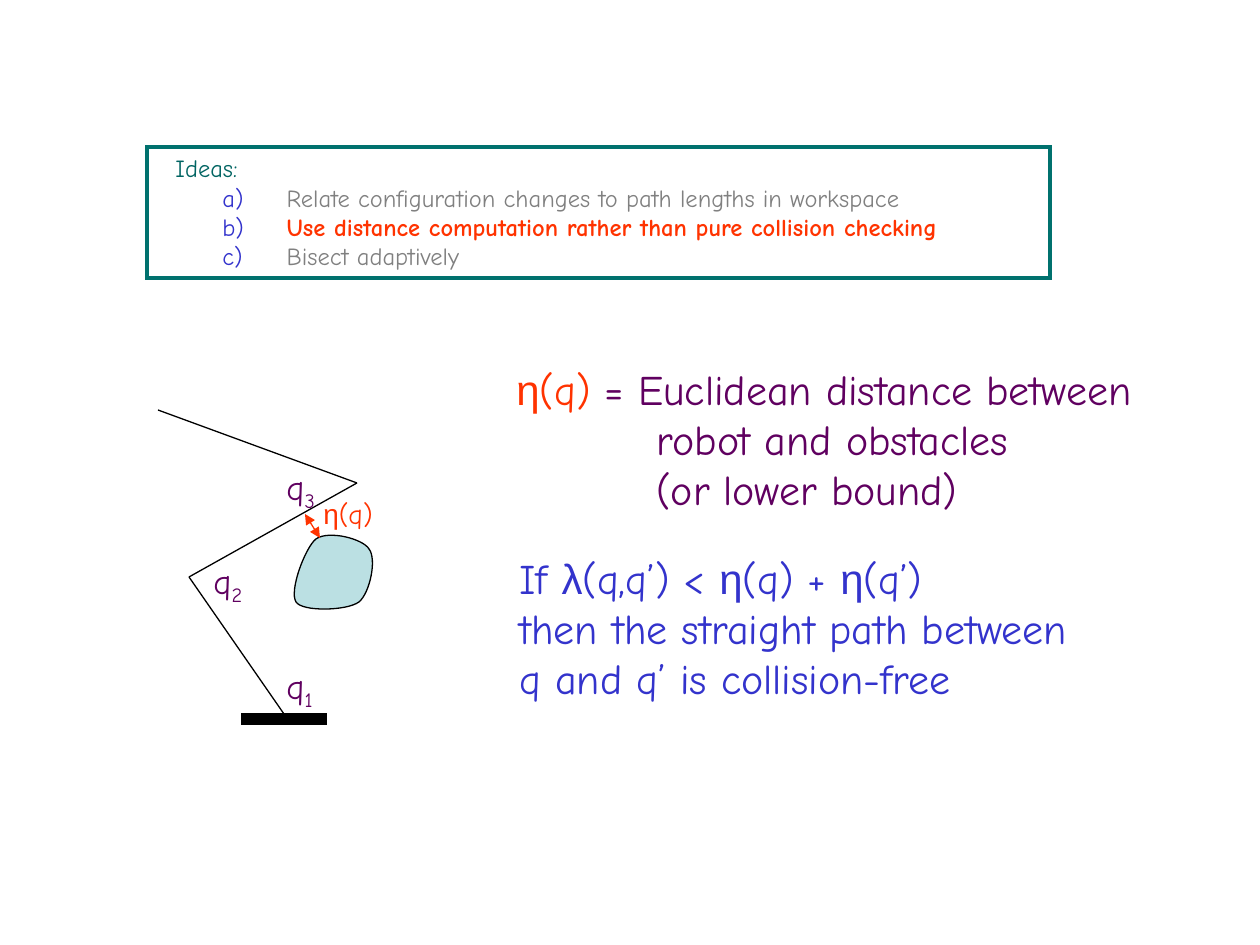
from dataclasses import dataclass
from itertools import pairwise

from lxml.etree import SubElement
from pptx import Presentation
from pptx.dml.color import RGBColor
from pptx.enum.shapes import MSO_CONNECTOR, MSO_SHAPE
from pptx.enum.text import MSO_ANCHOR, MSO_AUTO_SIZE, PP_ALIGN
from pptx.oxml.ns import qn
from pptx.util import Emu, Pt

PX_PER_INCH = 126
Point = tuple[int, int]
Box = tuple[int, int, int, int]


@dataclass(frozen=True)
class Theme:
    latin: str = "Comic Neue"
    greek: str = "Arial"
    formula: int = 24
    joint: int = 20
    distance: int = 16
    ideas: int = 14
    thin: float = 0.75
    frame_width: float = 2.25
    black: str = "000000"
    blue: str = "3333CC"
    red: str = "FF3300"
    purple: str = "600060"
    gray: str = "808080"
    heading: str = "006462"
    frame: str = "00716E"
    obstacle: str = "BBE0E3"


THEME = Theme()


@dataclass(frozen=True)
class Span:
    text: str
    color: str
    font: str = THEME.latin
    bold: bool = False
    subscript: bool = False


@dataclass(frozen=True)
class Line:
    spans: list[Span]
    margin: int = 0
    hang: int = 0
    lettered: bool = False


@dataclass(frozen=True)
class Label:
    box: Box
    size: int
    lines: list[Line]


def px(length: float) -> Emu:
    return Emu(round(length * 914400 / PX_PER_INCH))


def rgb(color: str) -> RGBColor:
    return RGBColor.from_string(color)


def math_spans(text: str, color: str) -> list[Span]:
    """Split text so that Greek letters get their own font."""
    spaced = text.replace("η", "|η|").replace("λ", "|λ|")
    return [Span(part, color, THEME.greek if part in "ηλ" else THEME.latin)
            for part in spaced.split("|") if part]


def write_lines(frame, lines: list[Line], size: int) -> None:
    for index, line in enumerate(lines):
        paragraph = frame.paragraphs[0] if index == 0 else frame.add_paragraph()
        paragraph.alignment = PP_ALIGN.LEFT
        properties = paragraph._p.get_or_add_pPr()
        properties.set("marL", str(px(line.margin)))
        properties.set("indent", str(px(-line.hang)))
        if line.lettered:
            paragraph.level = 1
            bullet_color = SubElement(properties, qn("a:buClr"))
            SubElement(bullet_color, qn("a:srgbClr"), val=THEME.blue)
            SubElement(properties, qn("a:buFont"), typeface=THEME.latin)
            SubElement(properties, qn("a:buAutoNum"), type="alphaLcParenR")
        for span in line.spans:
            run = paragraph.add_run()
            run.text = span.text
            run.font.size = Pt(size)
            run.font.name = span.font
            run.font.bold = span.bold
            run.font.color.rgb = rgb(span.color)
            if span.subscript:
                run._r.get_or_add_rPr().set("baseline", "-25000")


def add_label(slide, label: Label) -> None:
    frame = slide.shapes.add_textbox(*map(px, label.box)).text_frame
    frame.word_wrap = False
    frame.auto_size = MSO_AUTO_SIZE.SHAPE_TO_FIT_TEXT
    write_lines(frame, label.lines, label.size)


def style_outline(shape, color: str, width: float, fill: str | None = None) -> None:
    shape.shadow.inherit = False
    shape.line.color.rgb = rgb(color)
    shape.line.width = Pt(width)
    SubElement(shape.line._get_or_add_ln(), qn("a:miter"), lim="800000")
    if fill:
        shape.fill.solid()
        shape.fill.fore_color.rgb = rgb(fill)
    else:
        shape.fill.background()


def add_segment(slide, start: Point, end: Point, color: str, arrows: bool = False) -> None:
    segment = slide.shapes.add_connector(
        MSO_CONNECTOR.STRAIGHT, *map(px, (*start, *end)))
    segment.line.color.rgb = rgb(color)
    segment.line.width = Pt(THEME.thin)
    if arrows:
        outline = segment.line._get_or_add_ln()
        for end_tag in ("a:headEnd", "a:tailEnd"):
            SubElement(outline, qn(end_tag), type="triangle")
    SubElement(segment._element.spPr, qn("a:effectLst"))


def curve_points(knots: list[Point], steps: int = 16) -> list[Point]:
    """Sample a chain of cubic Bezier curves, in EMU."""
    points = []
    for first in range(0, len(knots) - 1, 3):
        corners = knots[first:first + 4]
        for step in range(1, steps + 1):
            t = step / steps
            weights = ((1 - t) ** 3, 3 * t * (1 - t) ** 2, 3 * t * t * (1 - t), t ** 3)
            points.append(tuple(
                px(sum(w * corner[axis] for w, corner in zip(weights, corners)))
                for axis in (0, 1)))
    return points


def add_obstacle(slide, knots: list[Point]) -> None:
    points = curve_points(knots)
    builder = slide.shapes.build_freeform(*points[-1])
    builder.add_line_segments(points[:-1], close=True)
    style_outline(builder.convert_to_shape(), THEME.black, THEME.thin, THEME.obstacle)


def add_ideas(slide, box: Box, lines: list[Line]) -> None:
    panel = slide.shapes.add_shape(MSO_SHAPE.RECTANGLE, *map(px, box))
    style_outline(panel, THEME.frame, THEME.frame_width)
    panel.text_frame.word_wrap = True
    panel.text_frame.vertical_anchor = MSO_ANCHOR.TOP
    write_lines(panel.text_frame, lines, THEME.ideas)


def idea(text: str, color: str = THEME.gray, bold: bool = False) -> Line:
    """Lettered line; its plain first space keeps the letter from turning bold."""
    return Line([Span(" ", color), Span(text, color, bold=bold)],
                margin=119, hang=56, lettered=True)


OBSTACLE = [(316, 539), (305, 548), (289, 591), (296, 602), (302, 612), (347, 611),
            (359, 602), (370, 593), (377, 559), (369, 549), (363, 539), (329, 530),
            (316, 539)]
ARM = [(284, 714), (189, 577), (357, 483), (158, 410)]
JOINTS = [(274, 658), (201, 553), (274, 459)]
CONDITION = ["If λ(q,q’) < η(q) + η(q’)", "then the straight path between",
             "q and q’ is collision-free"]
IDEAS = [
    Line([Span("Ideas:", THEME.heading)], margin=16),
    idea("Relate configuration changes to path lengths in workspace"),
    idea("Use distance computation rather than pure collision checking", THEME.red, True),
    idea("Bisect adaptively"),
]
LABELS = [
    Label((507, 546, 575, 164), THEME.formula,
          [Line(math_spans(text, THEME.blue)) for text in CONDITION]),
    Label((311, 490, 76, 47), THEME.distance, [Line(math_spans("η(q)", THEME.red))]),
    Label((504, 357, 658, 164), THEME.formula, [
        Line(math_spans("η(q) ", THEME.red)
             + [Span("= Euclidean distance between", THEME.purple)]),
        Line([Span("robot and obstacles", THEME.purple)], margin=140),
        Line([Span("(or lower bound)", THEME.purple)], margin=140),
    ]),
] + [
    Label((left, top, 58, 60), THEME.joint,
          [Line([Span("q", THEME.purple), Span(str(number), THEME.purple, subscript=True)])])
    for number, (left, top) in enumerate(JOINTS, 1)
]


def main() -> None:
    deck = Presentation()
    deck.slide_width, deck.slide_height = px(1260), px(945)
    slide = deck.slides.add_slide(deck.slide_layouts[6])
    add_obstacle(slide, OBSTACLE)
    add_segment(slide, (305, 514), (320, 538), THEME.red, arrows=True)
    for start, end in pairwise(ARM):
        add_segment(slide, start, end, THEME.black)
    base = slide.shapes.add_shape(MSO_SHAPE.RECTANGLE, *map(px, (242, 714, 84, 10)))
    style_outline(base, THEME.black, THEME.thin, THEME.black)
    for label in LABELS:
        add_label(slide, label)
    add_ideas(slide, (147, 147, 903, 131), IDEAS)
    deck.save("out.pptx")


if __name__ == "__main__":
    main()
